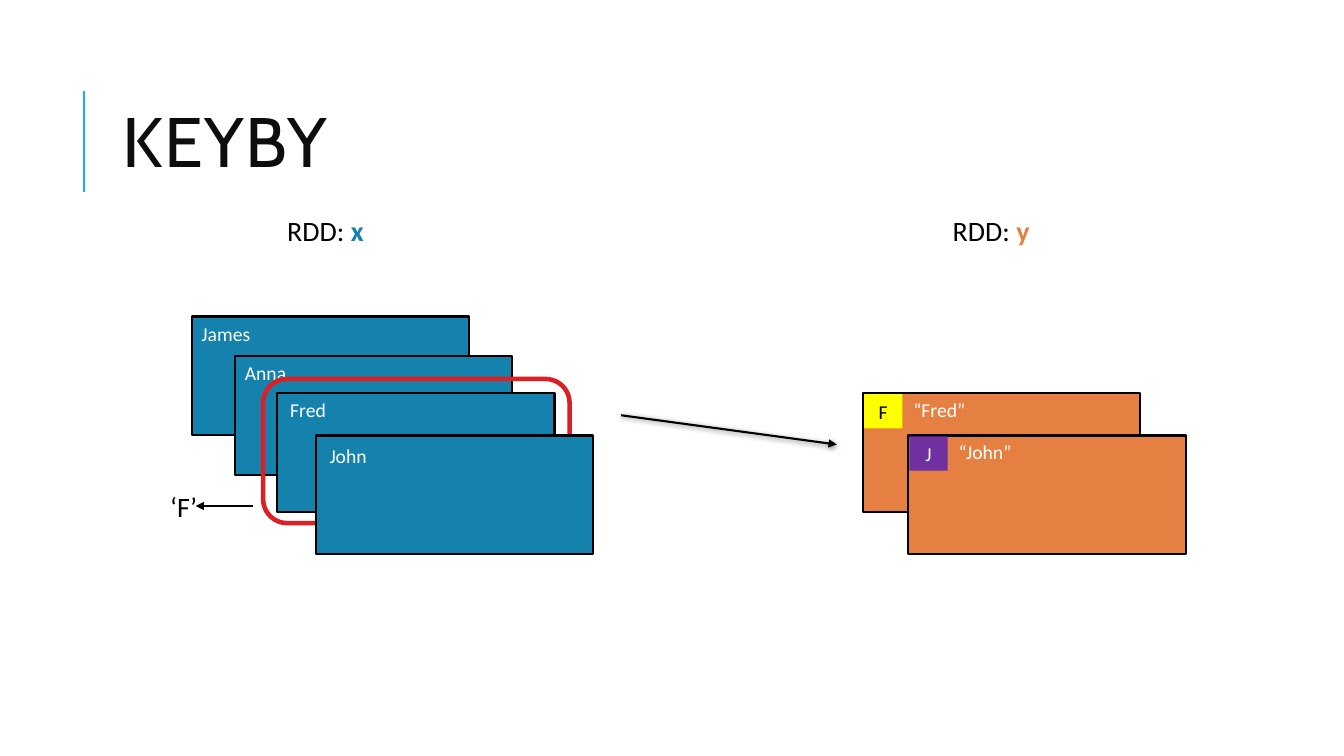
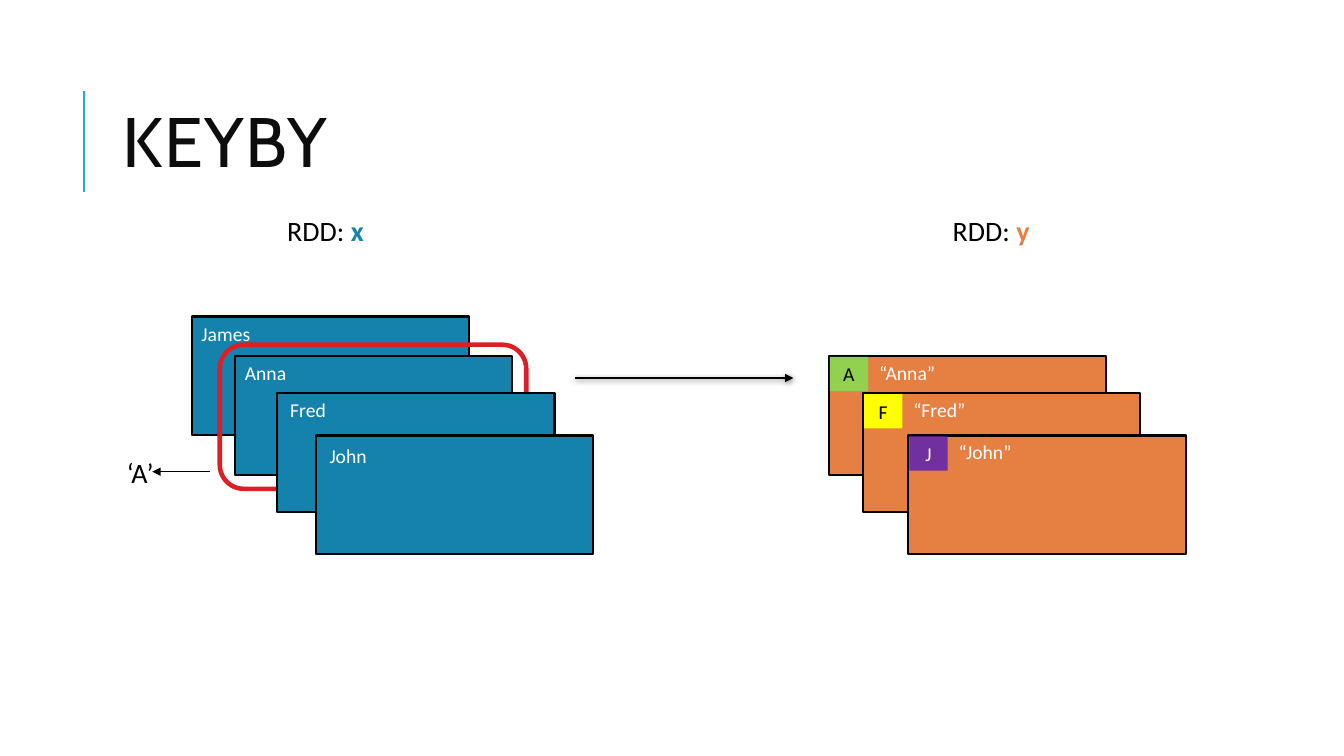
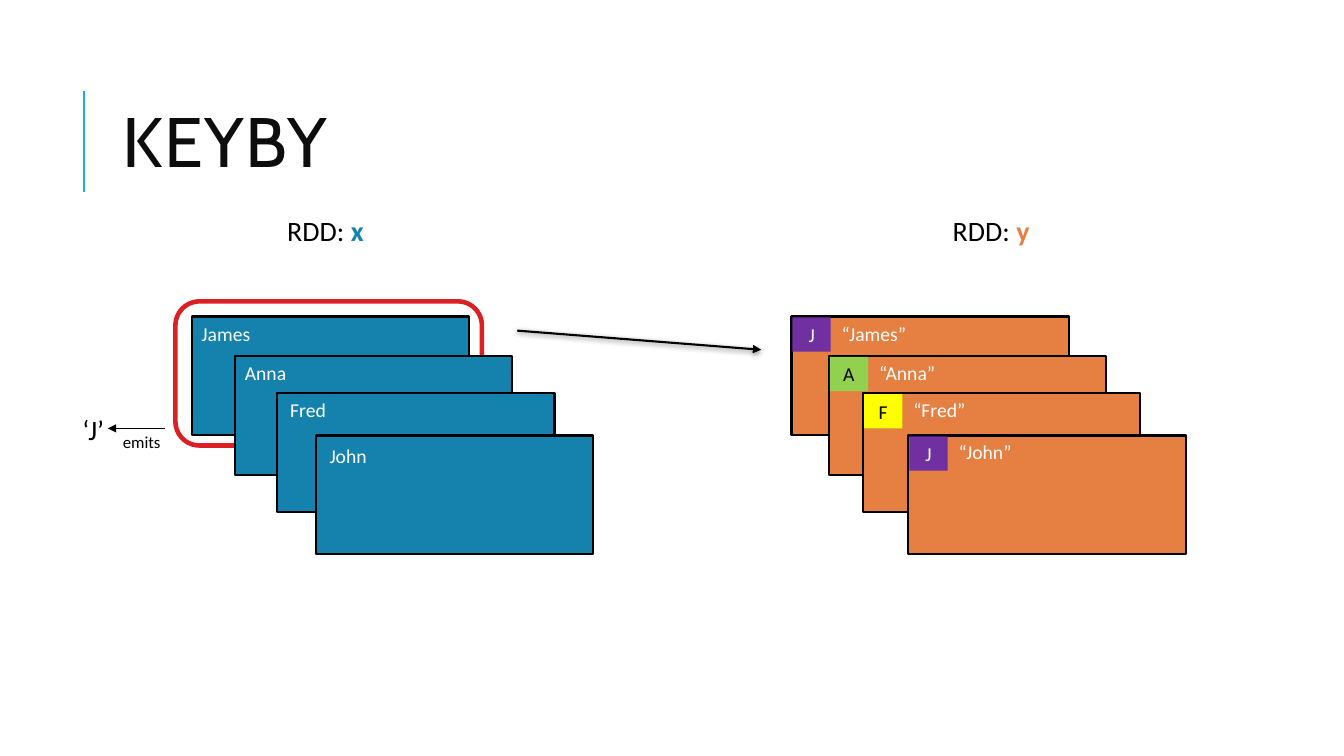
from dataclasses import dataclass

from lxml import etree
from pptx import Presentation
from pptx.dml.color import RGBColor as RGB
from pptx.enum.shapes import MSO_CONNECTOR as LINE, MSO_SHAPE as SHAPE
from pptx.enum.text import MSO_ANCHOR as ANCHOR, MSO_AUTO_SIZE as FIT, PP_ALIGN as ALIGN
from pptx.oxml.ns import qn
from pptx.util import Inches, Pt


@dataclass(frozen=True)
class Theme:
    head: str = "Cabin"
    body: str = "Calibri"
    title: int = 50
    lead: int = 20
    label: int = 14
    note: int = 12
    ink: str = "0D0D0D"
    black: str = "000000"
    white: str = "FFFFFF"
    rule: str = "1CADE4"
    blue: str = "1482AC"
    orange: str = "E68042"
    red: str = "DB1F25"
    yellow: str = "FFFF00"
    green: str = "92D050"
    purple: str = "7030A0"


T = Theme()
CARD = (2.75, 1.18)
RING = (3.04, 1.43)

# name: card place, label offset and width
SOURCE = {
    "James": ((1.9, 3.14), (0, 0, 0.71)),
    "Anna": ((2.33, 3.53), (0, 0, 0.71)),
    "Fred": ((2.75, 3.9), (0.03, 0, 0.62)),
    "John": ((3.13, 4.32), (0.04, 0.04, 0.9)),
}
# name: card place, label width, tag fill, tag ink
RESULT = {
    "James": ((7.85, 3.14), 1.91, T.purple, T.white),
    "Anna": ((8.22, 3.53), 1.17, T.green, T.black),
    "Fred": ((8.56, 3.9), 1.17, T.yellow, T.black),
    "John": ((9.01, 4.32), 1.91, T.purple, T.white),
}
# picked name, ring place, arrow from and to, note under the key arrow
STEPS = [
    ("Fred", (2.61, 3.76), (6.16, 4.12, 8.3, 4.41), ""),
    ("Anna", (2.18, 3.42), (5.7, 3.75, 7.87, 3.75), ""),
    ("James", (1.74, 2.99), (5.13, 3.28, 7.55, 3.47), "emits"),
]


def paint(run, size, color, font=T.body, bold=False):
    run.font.name = font
    run.font.size = Pt(size)
    run.font.color.rgb = RGB.from_string(color)
    run.font.bold = bold


def text(slide, box, words, size, color):
    """Add a wrapping text box and return its text frame."""
    frame = slide.shapes.add_textbox(*map(Inches, box)).text_frame
    frame.word_wrap = True
    frame.auto_size = FIT.SHAPE_TO_FIT_TEXT
    frame.text = words
    paint(frame.paragraphs[0].runs[0], size, color)
    return frame


def block(slide, box, fill=None, edge=None, width=1.5, kind=SHAPE.RECTANGLE):
    shape = slide.shapes.add_shape(kind, *map(Inches, box))
    shape.shadow.inherit = False
    if fill:
        shape.fill.solid()
        shape.fill.fore_color.rgb = RGB.from_string(fill)
    else:
        shape.fill.background()
    if edge:
        shape.line.color.rgb = RGB.from_string(edge)
        shape.line.width = Pt(width)
    else:
        shape.line.fill.background()
    return shape


def line(slide, ends, color=T.black, width=1.5, arrow=True, shade=False):
    link = slide.shapes.add_connector(LINE.STRAIGHT, *map(Inches, ends))
    link.line.color.rgb = RGB.from_string(color)
    link.line.width = Pt(width)
    props = link.element.spPr
    if arrow:
        etree.SubElement(props.find(qn("a:ln")), qn("a:tailEnd"), type="triangle")
    effect = etree.SubElement(props, qn("a:effectLst"))
    if shade:
        cast = etree.SubElement(effect, qn("a:outerShdw"), blurRad=str(Pt(4)),
                                dist=str(Pt(1)), dir="5400000", rotWithShape="0")
        tone = etree.SubElement(cast, qn("a:srgbClr"), val=T.black)
        etree.SubElement(tone, qn("a:alpha"), val="50000")


def header(slide, words):
    line(slide, (0.83, 1.9, 0.83, 0.9), T.rule, arrow=False)
    frame = text(slide, (1.12, 0.64, 10.63, 1.64), words, T.title, T.ink)
    frame.auto_size = FIT.NONE
    frame.vertical_anchor = ANCHOR.MIDDLE
    para = frame.paragraphs[0]
    para.line_spacing = 0.8
    run = para.runs[0]
    paint(run, T.title, T.ink, T.head)
    run.font._element.set("spc", "100")


def caption(slide, left, name, color):
    frame = text(slide, (left, 2.07, 1.55, 0.44), "RDD: ", T.lead, T.black)
    run = frame.paragraphs[0].add_run()
    run.text = name
    paint(run, T.lead, color, bold=True)


def source(slide, name):
    (x, y), (dx, dy, wide) = SOURCE[name]
    block(slide, (x, y, *CARD), T.blue, T.black)
    text(slide, (x + dx, y + dy, wide, 0.34), name, T.label, T.white)


def result(slide, name):
    """Add a keyed card: its first letter as a tag, then the quoted name."""
    (x, y), wide, fill, ink = RESULT[name]
    block(slide, (x, y, *CARD), T.orange, T.black)
    text(slide, (x + 0.4, y, wide, 0.34), f"“{name}”", T.label, T.white)
    tag = block(slide, (x + 0.01, y + 0.01, 0.38, 0.34), fill)
    tag.text_frame.text = name[0]
    para = tag.text_frame.paragraphs[0]
    para.alignment = ALIGN.CENTER
    paint(para.runs[0], T.label, ink)


def emit(slide, ring, key, note):
    """Add the key that leaves the ring at its lower left."""
    x, y = ring
    if note:
        text(slide, (x - 0.62, y + 1.24, 0.66, 0.3), note, T.note, T.black)
    line(slide, (x - 0.1, y + 1.26, x - 0.67, y + 1.26), width=1)
    text(slide, (x - 1.02, y + 1.05, 0.66, 0.44), f"‘{key}’", T.lead, T.black)


def step(slide, pick, ring, ends, note):
    """Build one slide: the picked name is ringed and joins the results."""
    header(slide, "KEYBY")
    caption(slide, 2.75, "x", T.blue)
    caption(slide, 9.35, "y", T.orange)
    names = list(SOURCE)
    for name in names:
        if name == pick:
            block(slide, (*ring, *RING), None, T.red, 3.25, SHAPE.ROUNDED_RECTANGLE)
        source(slide, name)
    emit(slide, ring, pick[0], note)
    line(slide, ends, shade=True)
    for name in names[names.index(pick):]:
        result(slide, name)


def main():
    deck = Presentation()
    deck.slide_width, deck.slide_height = Inches(13.33), Inches(7.5)
    for data in STEPS:
        step(deck.slides.add_slide(deck.slide_layouts[6]), *data)
    deck.save("out.pptx")


if __name__ == "__main__":
    main()
